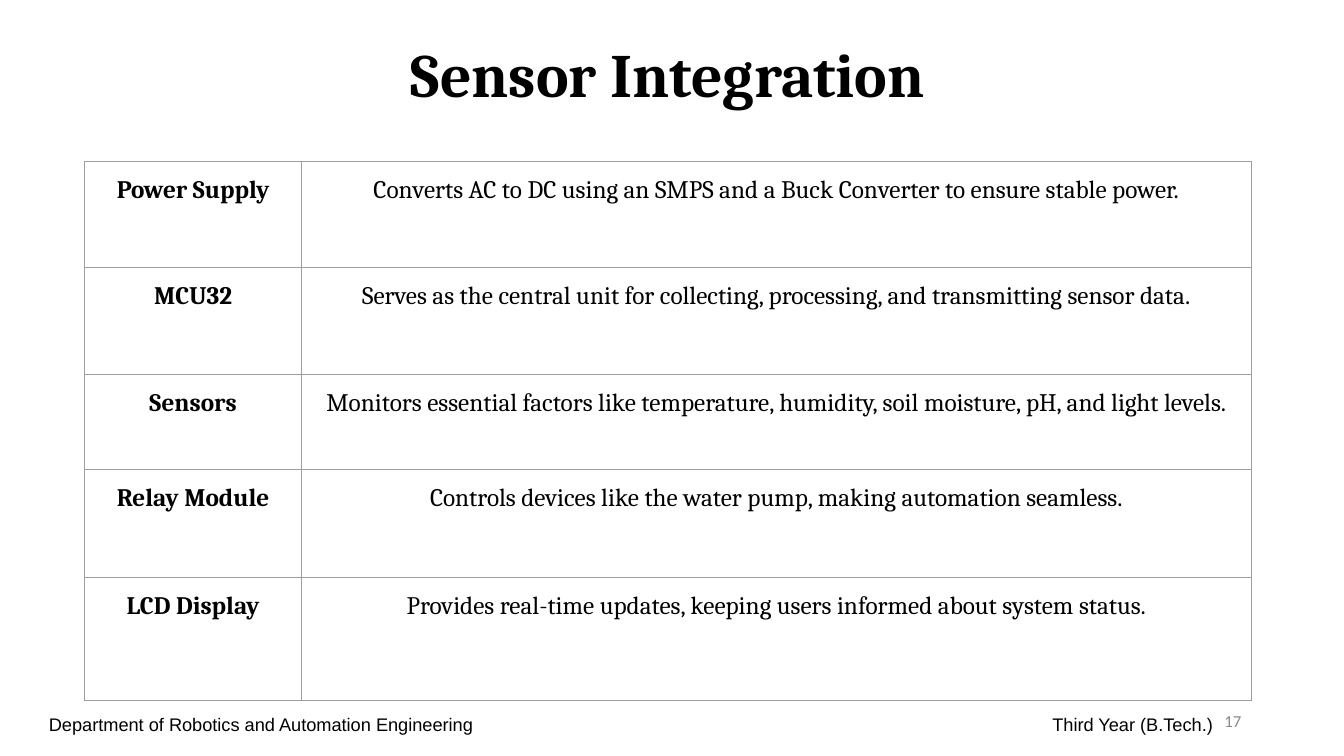
from dataclasses import dataclass

from lxml import etree
from pptx import Presentation
from pptx import util as u
from pptx.dml.color import RGBColor
from pptx.enum import text
from pptx.oxml.ns import qn

WIDTH, HEIGHT = 13.33, 7.5
MARGIN = 0.063 * WIDTH
CONTENT_WIDTH = 0.868 * WIDTH
COLUMN_SHARES = (0.186, 0.814)
ROW_HEIGHTS = [share * HEIGHT for share in (0.141, 0.141, 0.126, 0.143, 0.163)]

COMPONENTS = (
    ("Power Supply", "Converts AC to DC using an SMPS and a Buck Converter to ensure stable power."),
    ("MCU32", "Serves as the central unit for collecting, processing, and transmitting sensor data."),
    ("Sensors", "Monitors essential factors like temperature, humidity, soil moisture, pH, and light levels."),
    ("Relay Module", "Controls devices like the water pump, making automation seamless."),
    ("LCD Display", "Provides real-time updates, keeping users informed about system status."),
)


@dataclass(frozen=True)
class Theme:
    heading_font: str = "Cambria"
    footer_font: str = "Arial"
    number_font: str = "Calibri"
    title_size: int = 44
    table_size: int = 18
    footer_size: int = 13
    number_size: int = 12
    ink: str = "000000"
    muted: str = "888888"
    border: str = "9E9E9E"
    border_width: float = 0.75
    line_spacing: float = 1.15


THEME = Theme()
LEFT, CENTER, RIGHT = text.PP_ALIGN.LEFT, text.PP_ALIGN.CENTER, text.PP_ALIGN.RIGHT
TOP, MIDDLE = text.MSO_ANCHOR.TOP, text.MSO_ANCHOR.MIDDLE


def style_paragraph(paragraph, font, size, color=THEME.ink, bold=False,
                    align=CENTER, line_spacing=THEME.line_spacing):
    paragraph.alignment = align
    paragraph.line_spacing = line_spacing
    paragraph.font.name = font
    paragraph.font.size = u.Pt(size)
    paragraph.font.bold = bold
    paragraph.font.color.rgb = RGBColor.from_string(color)


def add_text(slide, box, wording, anchor=MIDDLE, inset=0.05):
    """Add a wrapped text box and return its paragraph."""
    frame = slide.shapes.add_textbox(*map(u.Inches, box)).text_frame
    frame.word_wrap = True
    frame.vertical_anchor = anchor
    frame.margin_top = frame.margin_bottom = u.Inches(inset)
    paragraph = frame.paragraphs[0]
    paragraph.text = wording
    return paragraph


def add_right_tab(paragraph, position):
    tabs = etree.SubElement(paragraph._p.get_or_add_pPr(), qn("a:tabLst"))
    etree.SubElement(tabs, qn("a:tab"), pos=str(u.Inches(position)), algn="r")


def set_borders(cell):
    properties = cell._tc.get_or_add_tcPr()
    for side in ("lnL", "lnR", "lnT", "lnB"):
        line = etree.SubElement(properties, qn(f"a:{side}"), w=str(u.Pt(THEME.border_width)))
        fill = etree.SubElement(line, qn("a:solidFill"))
        etree.SubElement(fill, qn("a:srgbClr"), val=THEME.border)


def fill_cell(cell, wording, bold):
    set_borders(cell)
    cell.fill.background()
    cell.margin_left = cell.margin_right = u.Inches(0.1)
    cell.margin_top = cell.margin_bottom = u.Inches(0.1)
    cell.vertical_anchor = TOP
    paragraph = cell.text_frame.paragraphs[0]
    paragraph.text = wording
    style_paragraph(paragraph, THEME.heading_font, THEME.table_size, bold=bold)


def add_component_table(slide):
    box = (MARGIN, 0.213 * HEIGHT, CONTENT_WIDTH, sum(ROW_HEIGHTS))
    table = slide.shapes.add_table(
        len(COMPONENTS), len(COLUMN_SHARES), *map(u.Inches, box)).table
    table.first_row = table.horz_banding = False
    for column, share in zip(table.columns, COLUMN_SHARES):
        column.width = u.Inches(share * CONTENT_WIDTH)
    for row, height, wordings in zip(table.rows, ROW_HEIGHTS, COMPONENTS):
        row.height = u.Inches(height)
        for index, wording in enumerate(wordings):
            fill_cell(row.cells[index], wording, bold=index == 0)


def add_title(slide):
    box = (MARGIN, 0.013 * HEIGHT, CONTENT_WIDTH, 0.152 * HEIGHT)
    title = add_text(slide, box, "Sensor Integration")
    style_paragraph(title, THEME.heading_font, THEME.title_size, bold=True)


def add_page_number(slide):
    width = 0.225 * WIDTH
    box = (MARGIN + CONTENT_WIDTH - width, 0.927 * HEIGHT, width, 0.053 * HEIGHT)
    number = add_text(slide, box, "17")
    style_paragraph(number, THEME.number_font, THEME.number_size, THEME.muted,
                    align=RIGHT, line_spacing=1.0)


def add_footer(slide):
    box = (0.029 * WIDTH, 0.926 * HEIGHT, 0.932 * WIDTH, 0.056 * HEIGHT)
    footer = add_text(
        slide, box, "Department of Robotics and Automation Engineering\tThird Year (B.Tech.)",
        anchor=TOP, inset=0.1)
    add_right_tab(footer, 0.866 * WIDTH)
    style_paragraph(footer, THEME.footer_font, THEME.footer_size, align=LEFT)


def main():
    presentation = Presentation()
    presentation.slide_width = u.Inches(WIDTH)
    presentation.slide_height = u.Inches(HEIGHT)
    slide = presentation.slides.add_slide(presentation.slide_layouts[6])
    add_title(slide)
    add_page_number(slide)
    add_component_table(slide)
    add_footer(slide)
    presentation.save("out.pptx")


if __name__ == "__main__":
    main()
